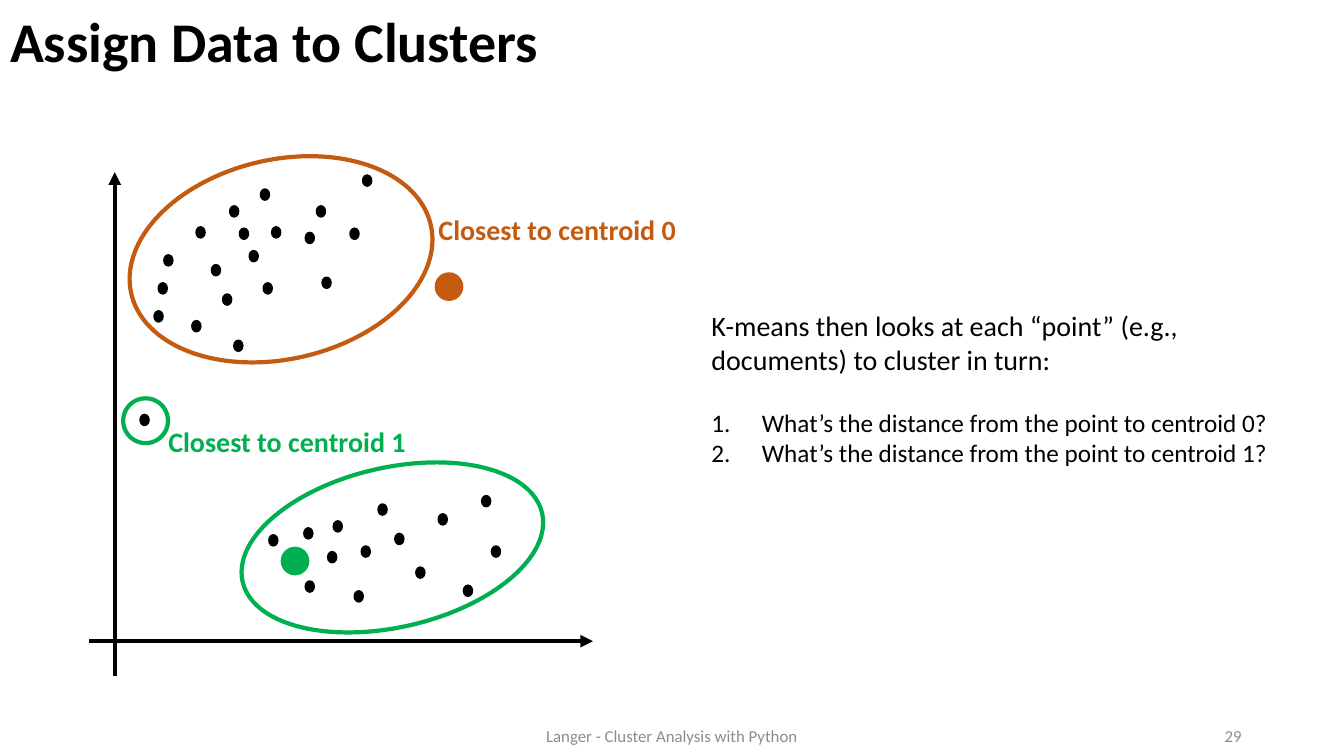
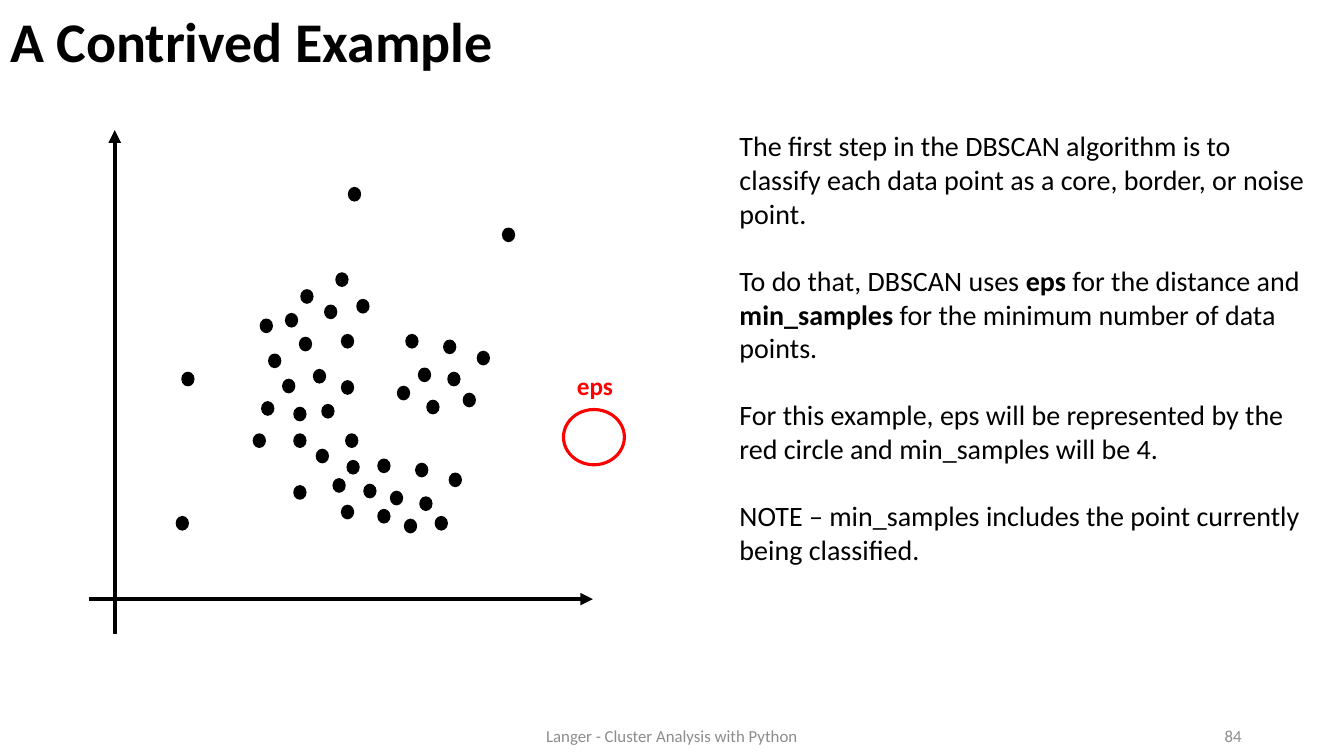
import pptx
import pptx.dml.color
import pptx.enum.shapes
import pptx.enum.text
import pptx.oxml
import pptx.oxml.ns
import pptx.util
import lxml.etree

Pt = pptx.util.Pt
ALIGN = pptx.enum.text.PP_ALIGN
ANCHOR = pptx.enum.text.MSO_ANCHOR
SHAPES = pptx.enum.shapes

COLORS = {
    "black": "000000",
    "gray": "8C8C8C",
    "orange": "C55A11",
    "green": "00B050",
    "red": "FF0000",
}

CENTROID_DATA = [
    (194, 162), (159, 210), (218, 166), (259, 125), (188, 202), (137, 229),
    (117, 182), (178, 179), (226, 147), (140, 162), (186, 135), (171, 163),
    (164, 147), (110, 222), (167, 243), (100, 296), (250, 163), (113, 202),
    (151, 189), (234, 394), (192, 382), (217, 377), (230, 198), (313, 367),
    (282, 381), (238, 372), (218, 415), (270, 360), (258, 390), (253, 422),
    (344, 354), (331, 418), (297, 405), (351, 390),
]

DENSITY_DATA = [
    (232, 218), (210, 291), (244, 239), (215, 207), (244, 272), (214, 241),
    (187, 287), (202, 271), (240, 195), (249, 134), (359, 163), (255, 214),
    (204, 224), (186, 228), (210, 310), (130, 266), (181, 310), (192, 253),
    (224, 264), (244, 361), (247, 310), (210, 347), (230, 289), (311, 369),
    (279, 351), (238, 342), (226, 321), (270, 328), (260, 346), (300, 355),
    (297, 331), (248, 329), (270, 364), (321, 338), (331, 281), (299, 263),
    (290, 239), (284, 276), (320, 266), (317, 243), (305, 286), (341, 251),
    (126, 369), (289, 371),
]


class Deck:
    """Hold the presentation, its shared style and the current slide."""

    font = "Calibri"
    footer = "Langer - Cluster Analysis with Python"

    def __init__(self):
        self.presentation = pptx.Presentation()
        self.presentation.slide_width = Pt(960)
        self.presentation.slide_height = Pt(540)
        self.slide = None

    def color(self, name):
        return pptx.dml.color.RGBColor.from_string(COLORS[name])

    def style(self, paragraph, size, color="black", bold=False):
        paragraph.font.name = self.font
        paragraph.font.size = Pt(size)
        paragraph.font.color.rgb = self.color(color)
        if bold is not None:
            paragraph.font.bold = bold

    def place(self, shape, box):
        shape.left, shape.top, shape.width, shape.height = map(Pt, box)

    def start(self, title, number):
        layout = self.presentation.slide_layouts[1]
        self.slide = self.presentation.slides.add_slide(layout)
        shape = self.slide.shapes.title
        self.place(shape, (0, 1.5, 766, 60))
        frame = shape.text_frame
        frame.text = title
        frame.auto_size = pptx.enum.text.MSO_AUTO_SIZE.NONE
        frame.vertical_anchor = ANCHOR.MIDDLE
        paragraph = frame.paragraphs[0]
        paragraph.alignment = ALIGN.LEFT
        paragraph.line_spacing = 0.9
        self.style(paragraph, 40, bold=True)
        self.label(self.footer, (318, 511, 324, 29), 12, "gray", False, ALIGN.CENTER, ANCHOR.MIDDLE)
        self.label(str(number), (678, 511, 216, 29), 12, "gray", False, ALIGN.RIGHT, ANCHOR.MIDDLE)

    def label(self, text, box, size, color, bold=True, align=ALIGN.CENTER, anchor=ANCHOR.TOP):
        frame = self.slide.shapes.add_textbox(*map(Pt, box)).text_frame
        frame.word_wrap = True
        frame.vertical_anchor = anchor
        frame.text = text
        frame.paragraphs[0].alignment = align
        self.style(frame.paragraphs[0], size, color, bold)

    def body(self, box, entries):
        shape = self.slide.placeholders[1]
        self.place(shape, box)
        frame = shape.text_frame
        frame.auto_size = pptx.enum.text.MSO_AUTO_SIZE.NONE
        frame.vertical_anchor = ANCHOR.TOP
        for index, (text, size, gap, numbered) in enumerate(entries):
            paragraph = frame.add_paragraph() if index else frame.paragraphs[0]
            paragraph.space_before = Pt(gap)
            self.bullet(paragraph, numbered)
            parts = text.split("*")
            self.style(paragraph, size, bold=None if len(parts) > 1 else False)
            for position, part in enumerate(parts):
                run = paragraph.add_run()
                run.text = part
                if len(parts) > 1:
                    run.font.bold = position % 2 == 1

    def bullet(self, paragraph, numbered):
        properties = paragraph._p.get_or_add_pPr()
        indent = Pt(36) if numbered else 0
        properties.set("marL", str(indent))
        properties.set("indent", str(-indent))
        kind = "a:buAutoNum" if numbered else "a:buNone"
        mark = lxml.etree.SubElement(properties, pptx.oxml.ns.qn(kind))
        if numbered:
            mark.set("type", "arabicPeriod")

    def ellipse(self, box, color, filled=False, weight=1, rotation=0):
        shape = self.slide.shapes.add_shape(SHAPES.MSO_SHAPE.OVAL, *map(Pt, box))
        shape.shadow.inherit = False
        shape.rotation = rotation
        shape.line.color.rgb = self.color(color)
        shape.line.width = Pt(weight)
        if filled:
            shape.fill.solid()
            shape.fill.fore_color.rgb = self.color(color)
        else:
            shape.fill.background()

    def dots(self, corners, width, height):
        for left, top in corners:
            self.ellipse((left, top, width, height), "black", filled=True)

    def arrow(self, *ends):
        connector = self.slide.shapes.add_connector(SHAPES.MSO_CONNECTOR.STRAIGHT, *map(Pt, ends))
        connector.line.color.rgb = self.color("black")
        connector.line.width = Pt(3)
        qn = pptx.oxml.ns.qn
        lxml.etree.SubElement(connector.line._get_or_add_ln(), qn("a:tailEnd"), type="triangle")
        lxml.etree.SubElement(connector._element.spPr, qn("a:effectLst"))

    def axes(self, bottom):
        self.arrow(82, bottom, 82, bottom - 360)
        self.arrow(63.5, bottom - 25, 423.5, bottom - 25)


def assign_slide(deck):
    """Build the slide that assigns points to centroids."""
    deck.start("Assign Data to Clusters", 29)
    deck.axes(483)
    deck.dots(CENTROID_DATA, 6.5, 8)
    deck.ellipse((311, 195, 19.5, 19.5), "orange", filled=True)
    deck.ellipse((91, 114, 219.5, 142.5), "orange", weight=3, rotation=347.1)
    deck.label("Closest to centroid 0", (296, 148, 204, 32), 20, "orange")
    deck.ellipse((170.5, 334, 219.5, 114), "green", weight=3, rotation=347.1)
    deck.label("Closest to centroid 1", (103, 300, 204, 32), 20, "green")
    deck.ellipse((88, 284.5, 32, 32), "green", weight=3)
    deck.ellipse((201, 391, 19.5, 19.5), "green", filled=True)
    deck.body((501, 217, 442, 143), [
        ("K-means then looks at each “point” (e.g., documents) to cluster in turn:", 20, 0, False),
        ("What’s the distance from the point to centroid 0?", 18, 22, True),
        ("What’s the distance from the point to centroid 1?", 18, 0, True),
    ])


def example_slide(deck):
    """Build the slide that introduces eps and min_samples."""
    deck.start("A Contrived Example", 84)
    texts = [
        "The first step in the DBSCAN algorithm is to classify each data point as a core, "
        "border, or noise point.",
        "To do that, DBSCAN uses *eps* for the distance and *min_samples* for the minimum "
        "number of data points.",
        "For this example, eps will be represented by the red circle and min_samples will be 4.",
        "NOTE – min_samples includes the point currently being classified.",
    ]
    deck.body((521, 88.5, 419, 323), [
        (text, 20, 24 if index else 0, False) for index, text in enumerate(texts)
    ])
    deck.dots(DENSITY_DATA, 8.5, 9.5)
    deck.axes(453)
    deck.ellipse((402.5, 292.5, 43.5, 39.5), "red", weight=2.25)
    deck.label("eps", (405, 261, 54, 29), 18, "red", align=ALIGN.LEFT)


def main():
    """Build and save both slides."""
    deck = Deck()
    assign_slide(deck)
    example_slide(deck)
    deck.presentation.save("out.pptx")


if __name__ == "__main__":
    main()
